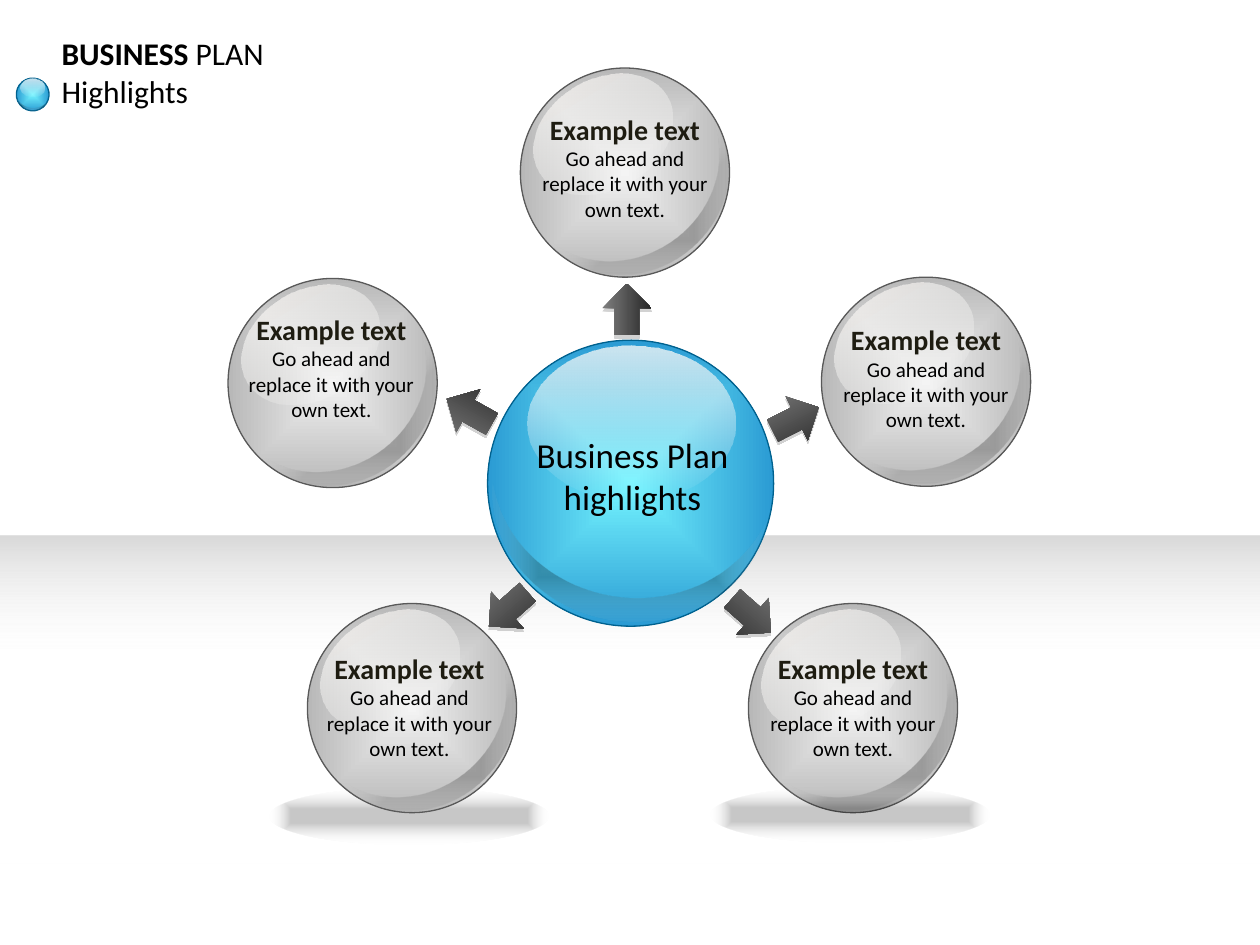
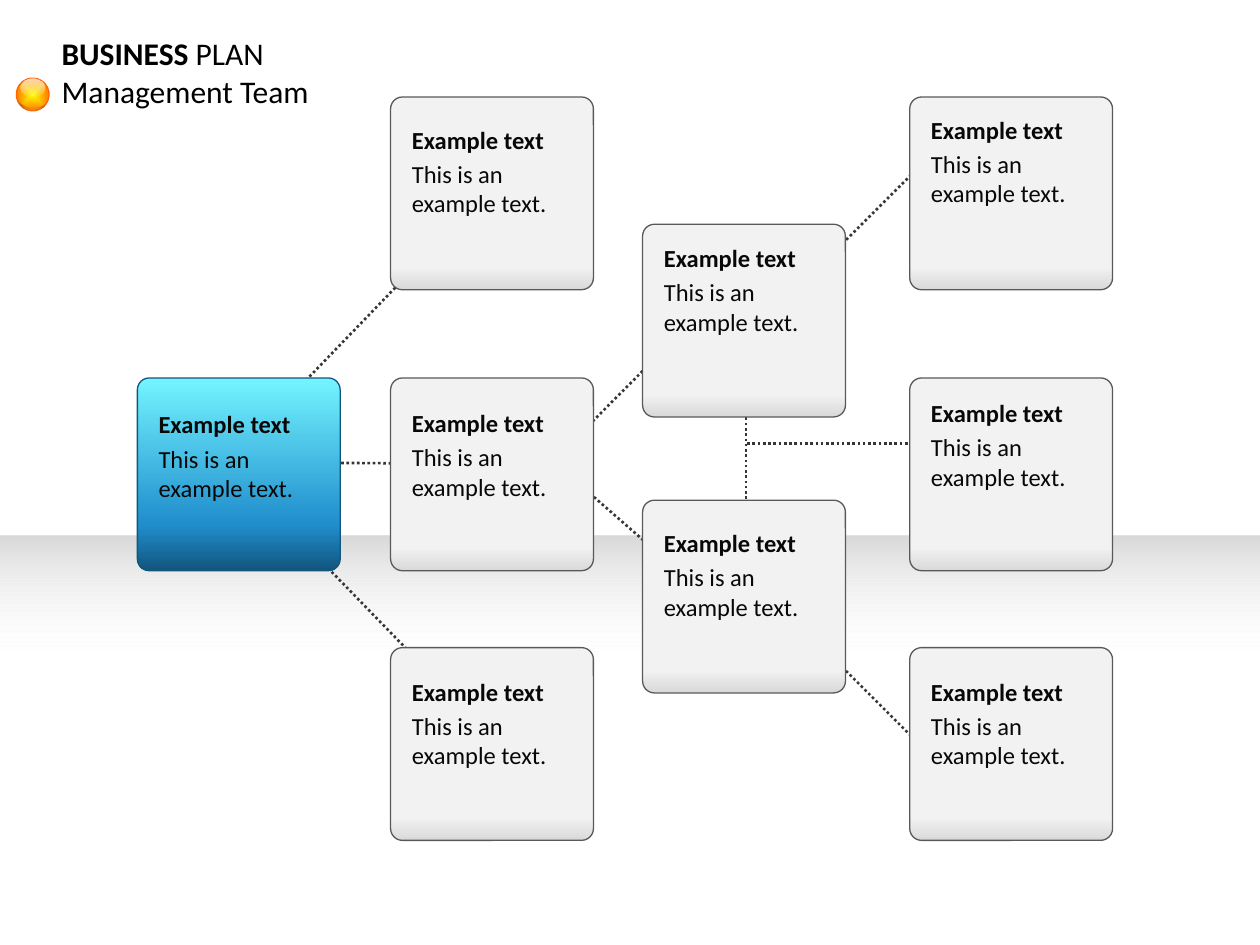
import pptx
import pptx.util
import pptx.dml.color
import pptx.enum.dml
import pptx.enum.shapes
import pptx.enum.text
import pptx.oxml
from pptx.oxml.ns import qn

Inches = pptx.util.Inches
Pt = pptx.util.Pt
SHAPE = pptx.enum.shapes.MSO_SHAPE
CENTER = pptx.enum.text.PP_ALIGN.CENTER
NAMESPACE = 'xmlns:a="http://schemas.openxmlformats.org/drawingml/2006/main"'
FONT = "Calibri"

COLORS = {
    "black": "000000", "white": "FFFFFF", "gloss": "FFFCF9",
    "heading": "1E1C11", "card text": "080808",
    "light gray": "F2F2F2", "band gray": "D9D9D9", "ball gray": "A6A6A6",
    "outline": "595959", "dots": "353637", "arrow light": "7F7F7F",
    "arrow dark": "262626", "arrow shadow": "808080",
    "cyan": "74F4FF", "blue": "208ECD", "navy": "12557D", "rim": "00618E",
    "yellow": "FFFF00", "orange": "FF6600",
}

# Gradients: stops of (position, colour, opacity) and an angle; None is centred
BAND = ([(61, "white", 0), (100, "band gray", 100)], 270)
CARD = ([(0, "band gray", 100), (12, "light gray", 100)], 270)
LEAD_CARD = ([(0, "cyan", 100), (76, "blue", 100), (100, "navy", 100)], 90)
GLOSS = ([(0, "gloss", 77), (100, "white", 0)], 90)
SHADE = ([(24, "black", 24), (100, "white", 0)], None)
GROUND = ([(24, "black", 22), (100, "white", 0)], None)
GRAY_BALL = ([(0, "light gray", 100), (100, "ball gray", 100)], None)
BLUE_BALL = ([(0, "cyan", 100), (100, "blue", 100)], None)
ORANGE_BALL = ([(0, "yellow", 100), (100, "orange", 100)], None)
ARROW = ([(0, "arrow light", 100), (100, "arrow dark", 100)], 90)

# Text formats
TITLE_BOLD = {"size": Pt(18), "bold": True, "color": "black"}
TITLE = {"size": Pt(18), "bold": False, "color": "black"}
HUB_TEXT = {"size": Pt(20), "color": "black"}
BALL_HEAD = {"size": Pt(16), "bold": True, "color": "heading"}
BALL_BODY = {"size": Pt(12), "bold": False, "color": "black"}
CARD_HEAD = {"size": Pt(14), "bold": True, "color": "card text"}
CARD_BODY = {"size": Pt(14), "bold": False, "color": "card text"}


def rgb(name):
    return pptx.dml.color.RGBColor.from_string(COLORS[name])


def set_gradient(shape, gradient):
    stops, angle = gradient
    marks = "".join(
        f'<a:gs pos="{place * 1000}"><a:srgbClr val="{COLORS[color]}">'
        f'<a:alpha val="{opacity * 1000}"/></a:srgbClr></a:gs>'
        for place, color, opacity in stops)
    if angle is None:
        course = ('<a:path path="shape"><a:fillToRect l="50000" t="50000" '
                  'r="50000" b="50000"/></a:path>')
    else:
        course = f'<a:lin ang="{angle * 60000}" scaled="0"/>'
    shape.fill.background()
    properties = shape._element.spPr
    properties.replace(properties.find(qn("a:noFill")), pptx.oxml.parse_xml(
        f'<a:gradFill {NAMESPACE} rotWithShape="1"><a:gsLst>{marks}</a:gsLst>'
        f'{course}</a:gradFill>'))


def add_figure(parent, kind, place, gradient, line=None, turn=0, flip=False,
               adjust=None):
    shape = parent.shapes.add_shape(kind, *map(Inches, place))
    shape.shadow.inherit = False
    shape.rotation = turn
    if flip:
        shape._element.spPr.find(qn("a:xfrm")).set("flipH", "1")
    if adjust is not None:
        shape.adjustments[0] = adjust
    set_gradient(shape, gradient)
    if line:
        shape.line.color.rgb = rgb(line)
        shape.line.width = Pt(0.75)
    else:
        shape.line.fill.background()
    return shape


def add_text(slide, place, lines, **layout):
    """Each line is a list of (words, format) spans."""
    box = slide.shapes.add_textbox(*map(Inches, place))
    box.text_frame.word_wrap = True
    for index, spans in enumerate(lines):
        frame = box.text_frame
        para = frame.add_paragraph() if index else frame.paragraphs[0]
        for name, value in layout.items():
            setattr(para, name, value)
        for words, style in spans:
            span = para.add_run()
            span.text = words
            span.font.name = FONT
            for name, value in style.items():
                if name == "color":
                    span.font.color.rgb = rgb(value)
                else:
                    setattr(span.font, name, value)


def add_bright_ball(slide, left, top, size, gradient, rim):
    """A coloured glass ball whose parts scale with its size."""
    unit = size / 2.27
    group = slide.shapes.add_group_shape()
    add_figure(group, SHAPE.OVAL, (left, top, size, size), gradient, rim, 350.9)
    add_figure(group, SHAPE.OVAL, (left + 0.32 * unit, top + 0.04 * unit,
                                   1.65 * unit, 1.23 * unit), GLOSS)
    add_figure(group, SHAPE.MOON, (left + 0.59 * unit, top + 0.62 * unit,
                                   unit, 2.21 * unit), SHADE,
               turn=275.9, adjust=0.19)


def add_gray_ball(slide, left, top):
    group = slide.shapes.add_group_shape()
    add_figure(group, SHAPE.OVAL, (left, top, 1.66, 1.66), GRAY_BALL,
               "outline", 338.6, True)
    add_figure(group, SHAPE.MOON, (left + 0.72, top + 0.37, 0.73, 1.61), SHADE,
               turn=53.6, flip=True, adjust=0.19)
    add_figure(group, SHAPE.OVAL, (left + 0.07, top + 0.09, 1.17, 0.87), GLOSS,
               turn=329.4, flip=True)


def add_arrow(slide, left, top, turn, flip=False):
    arrow = add_figure(slide, SHAPE.RIGHT_ARROW, (left, top, 0.41, 0.39),
                       ARROW, turn=turn, flip=flip)
    effects = arrow._element.spPr.find(qn("a:effectLst"))
    effects.append(pptx.oxml.parse_xml(
        f'<a:outerShdw {NAMESPACE} blurRad="0" dist="{Pt(1.8)}" dir="5400000" '
        f'rotWithShape="0"><a:srgbClr val="{COLORS["arrow shadow"]}">'
        '<a:alpha val="35000"/></a:srgbClr></a:outerShdw>'))


def add_dotted_line(slide, start, end):
    line = slide.shapes.add_connector(
        pptx.enum.shapes.MSO_CONNECTOR.STRAIGHT, *map(Inches, start + end))
    line.line.color.rgb = rgb("dots")
    line.line.width = Pt(1.5)
    line.line.dash_style = pptx.enum.dml.MSO_LINE.ROUND_DOT
    line._element.spPr.append(
        pptx.oxml.parse_xml(f"<a:effectLst {NAMESPACE}/>"))


def add_card(slide, left, top, text_top, gradient=CARD, line="outline"):
    add_figure(slide, SHAPE.ROUNDED_RECTANGLE, (left, top, 1.61, 1.53),
               gradient, line, adjust=0.061)
    add_text(slide, (left + 0.07, text_top, 1.42, 0.89),
             [[("Example text", CARD_HEAD)],
              [("This is an example text.", CARD_BODY)]],
             space_before=Pt(2.8))


def start_slide(deck):
    slide = deck.slides.add_slide(deck.slide_layouts[6])
    add_figure(slide, SHAPE.RECTANGLE, (0, 4.25, 10, 2.6), BAND)
    return slide


def add_title(slide, subtitle, gradient, rim):
    add_text(slide, (0.39, 0.22, 2.29, 0.71),
             [[("BUSINESS", TITLE_BOLD), (" PLAN", TITLE)],
              [(subtitle, TITLE)]])
    add_bright_ball(slide, 0.13, 0.62, 0.26, gradient, rim)


def build_highlights(deck):
    slide = start_slide(deck)
    # Hub
    add_figure(slide, SHAPE.OVAL, (2.14, 6.25, 2.21, 0.45), GROUND)
    add_bright_ball(slide, 3.87, 2.7, 2.27, BLUE_BALL, "rim")
    add_text(slide, (3.88, 3.39, 2.28, 0.77),
             [[("Business Plan", HUB_TEXT)], [("highlights", HUB_TEXT)]],
             alignment=CENTER)
    # Balls around the hub, each with the place of its text
    balls = [((1.81, 2.21), (1.84, 2.43)), ((2.44, 4.79), (2.46, 5.12)),
             ((5.94, 4.79), (5.98, 5.12)), ((6.52, 2.2), (6.56, 2.51)),
             ((4.13, 0.54), (4.17, 0.84))]
    for ball, _ in balls:
        add_gray_ball(slide, *ball)
    # Arrows out of the hub
    for left, top, turn in [(5.76, 4.69, 41.5), (4.77, 2.26, 270),
                            (6.11, 3.13, 333.1), (3.52, 3.07, 209.2)]:
        add_arrow(slide, left, top, turn)
    add_arrow(slide, 3.83, 4.64, 318.5, flip=True)
    add_figure(slide, SHAPE.OVAL, (5.64, 6.24, 2.21, 0.45), GROUND)
    for _, place in balls:
        add_text(slide, place + (1.58, 1.28),
                 [[("Example text", BALL_HEAD)],
                  [("Go ahead and replace it with your own text.", BALL_BODY)]],
                 alignment=CENTER)
    add_title(slide, "Highlights", BLUE_BALL, "rim")


def build_team(deck):
    slide = start_slide(deck)
    # Links between the cards
    for start, end in [((5.93, 3.52), (7.93, 3.52)), ((5.92, 2.7), (7.29, 1.33)),
                       ((7.29, 5.9), (5.92, 4.53)), ((5.92, 4.67), (5.92, 2.67)),
                       ((1.79, 3.67), (3.79, 3.68)), ((1.79, 3.68), (3.42, 1.99)),
                       ((1.79, 3.67), (3.42, 5.35)), ((4.38, 3.67), (5.74, 2.3)),
                       ((4.4, 3.67), (5.92, 5))]:
        add_dotted_line(slide, start, end)
    # Cards by column: left, then the top of each card and of its text
    add_card(slide, 1.09, 3, 3.2, LEAD_CARD, "navy")
    columns = [(3.1, [(0.77, 0.94), (3, 3.19), (5.14, 5.32)]),
               (5.1, [(1.78, 1.88), (3.97, 4.14)]),
               (7.22, [(0.77, 0.86), (3, 3.11), (5.14, 5.32)])]
    for left, rows in columns:
        for top, text_top in rows:
            add_card(slide, left, top, text_top)
    add_title(slide, "Management Team", ORANGE_BALL, "orange")


def main():
    deck = pptx.Presentation()
    deck.slide_width, deck.slide_height = Inches(10), Inches(7.5)
    build_highlights(deck)
    build_team(deck)
    deck.save("out.pptx")


main()
